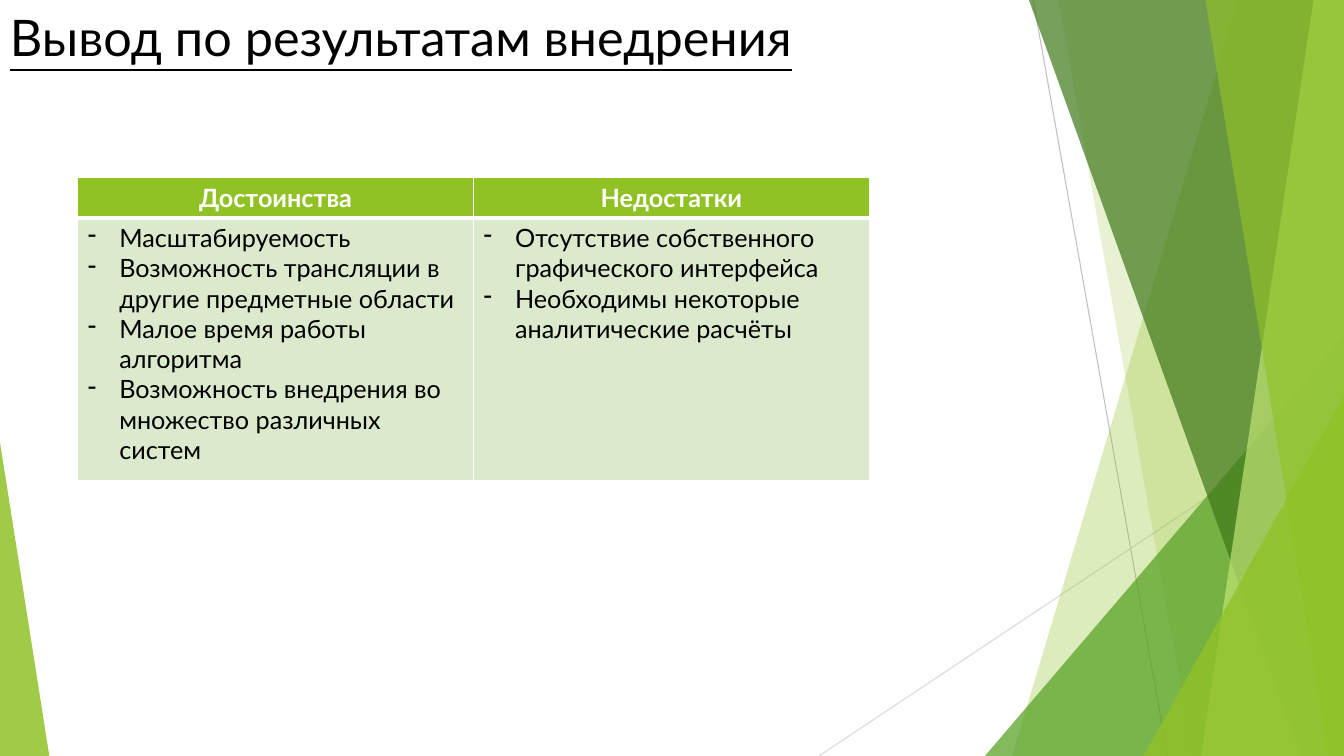
from dataclasses import dataclass

from lxml.etree import SubElement
from pptx import Presentation
from pptx.dml.color import RGBColor
from pptx.enum.shapes import MSO_CONNECTOR, MSO_SHAPE
from pptx.enum.text import MSO_ANCHOR, PP_ALIGN
from pptx.oxml.ns import qn
from pptx.util import Pt

PX = 9525  # EMU in one px, 96 px to the inch
WIDTH, HEIGHT = 1280, 720


@dataclass(frozen=True)
class Theme:
    font: str = "Lato"
    title_size: int = 36
    table_size: int = 18
    text: str = "000000"
    white: str = "FFFFFF"
    lime: str = "90C226"
    pale_lime: str = "C0E474"
    green: str = "54A021"
    dark_green: str = "3F7819"
    cell: str = "DBE9CD"
    steep_line: str = "BFBFBF"
    flat_line: str = "D9D9D9"


theme = Theme()


def paint(shape, color, opacity):
    """Fill a shape with a colour at an opacity in percent, without outline or shadow."""
    shape.shadow.inherit = False
    shape.line.fill.background()
    shape.fill.solid()
    shape.fill.fore_color.rgb = RGBColor.from_string(color)
    color_element = shape.fill._xPr.find(qn("a:solidFill"))[0]
    SubElement(color_element, qn("a:alpha"), val=str(opacity * 1000))


def add_text(paragraph, text, size, color, bold=False, underline=False):
    run = paragraph.add_run()
    run.text = text
    run.font.name = theme.font
    run.font.size = Pt(size)
    run.font.bold = bold
    run.font.underline = underline
    run.font.color.rgb = RGBColor.from_string(color)


presentation = Presentation()
presentation.slide_width = WIDTH * PX
presentation.slide_height = HEIGHT * PX
slide = presentation.slides.add_slide(presentation.slide_layouts[6])
shapes = slide.shapes

# Thin lines behind the facets
for ends, color in [
    ((984, 0, 1112, HEIGHT), theme.steep_line),
    ((WIDTH, 387, 780, HEIGHT), theme.flat_line),
]:
    line = shapes.add_connector(MSO_CONNECTOR.STRAIGHT, *(value * PX for value in ends))
    line.line.color.rgb = RGBColor.from_string(color)
    line.line.width = Pt(0.75)
    SubElement(line._element.spPr, qn("a:effectLst"))

# Bands reach the right edge: (top x, bottom x).
# Triangles stand on the bottom edge: (left, top, width, apex position).
for facet, color, opacity in [
    ((1179, 964), theme.lime, 30),
    ((1008, 1136), theme.lime, 20),
    ((938, 320, 342, 1), theme.green, 72),
    ((980, 1239), theme.dark_green, 70),
    ((1251, 1144), theme.pale_lime, 70),
    ((1148, 1265), theme.lime, 65),
    ((1089, 377, 191, 1), theme.lime, 80),
    ((0, 421, 47, 0), theme.lime, 85),
]:
    if len(facet) == 2:
        top_x, bottom_x = facet
        builder = shapes.build_freeform(top_x, 0, scale=PX)
        builder.add_line_segments([(WIDTH, 0), (WIDTH, HEIGHT), (bottom_x, HEIGHT)])
        shape = builder.convert_to_shape()
    else:
        left, top, width, apex = facet
        shape = shapes.add_shape(
            MSO_SHAPE.ISOSCELES_TRIANGLE,
            left * PX, top * PX, width * PX, (HEIGHT - top) * PX,
        )
        shape.adjustments[0] = apex
    paint(shape, color, opacity)

# Title
title = shapes.add_textbox(0, 0, 902 * PX, 70 * PX).text_frame
title.word_wrap = True
title.vertical_anchor = MSO_ANCHOR.MIDDLE
add_text(title.paragraphs[0], "Вывод по результатам внедрения",
         theme.title_size, theme.text, underline=True)

# Table of strengths and weaknesses
columns = [
    ("Достоинства", [
        "Масштабируемость",
        "Возможность трансляции в другие предметные области",
        "Малое время работы алгоритма",
        "Возможность внедрения во множество различных систем",
    ]),
    ("Недостатки", [
        "Отсутствие собственного графического интерфейса",
        "Необходимы некоторые аналитические расчёты",
    ]),
]
row_heights = [38, 250]
column_width = 377
indent = 30
table = shapes.add_table(
    len(row_heights), len(columns), 74 * PX, 169 * PX,
    column_width * len(columns) * PX, sum(row_heights) * PX,
).table
for row, height in zip(table.rows, row_heights):
    row.height = height * PX

for column_index, (heading, points) in enumerate(columns):
    table.columns[column_index].width = column_width * PX
    header, body = (table.cell(row_index, column_index) for row_index in range(2))

    for cell, fill, top_width, bottom_width in [
        (header, theme.lime, 1, 3),
        (body, theme.cell, 3, 1),
    ]:
        properties = cell._tc.get_or_add_tcPr()
        for side, width in zip("LRTB", (1, 1, top_width, bottom_width)):
            border = SubElement(properties, qn(f"a:ln{side}"), w=str(Pt(width)))
            border_fill = SubElement(border, qn("a:solidFill"))
            SubElement(border_fill, qn("a:srgbClr"), val=theme.white)
        cell.fill.solid()
        cell.fill.fore_color.rgb = RGBColor.from_string(fill)

    header_paragraph = header.text_frame.paragraphs[0]
    header_paragraph.alignment = PP_ALIGN.CENTER
    add_text(header_paragraph, heading, theme.table_size, theme.white, bold=True)

    for point_index, point in enumerate(points):
        frame = body.text_frame
        paragraph = frame.add_paragraph() if point_index else frame.paragraphs[0]
        paragraph_properties = paragraph._p.get_or_add_pPr()
        paragraph_properties.set("marL", str(indent * PX))
        paragraph_properties.set("indent", str(-indent * PX))
        SubElement(paragraph_properties, qn("a:buChar"), char="-")
        add_text(paragraph, point, theme.table_size, theme.text)

presentation.save("out.pptx")
